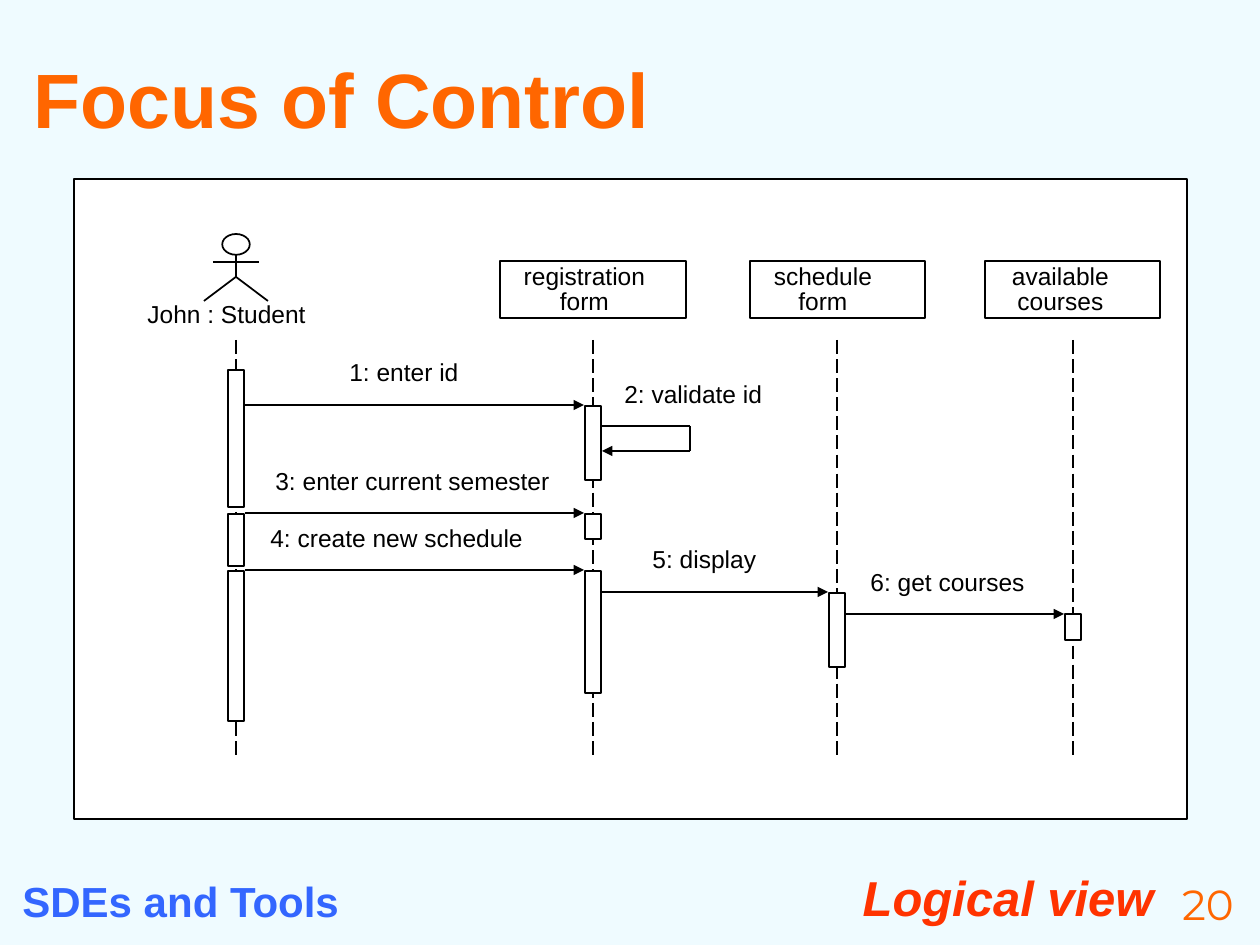
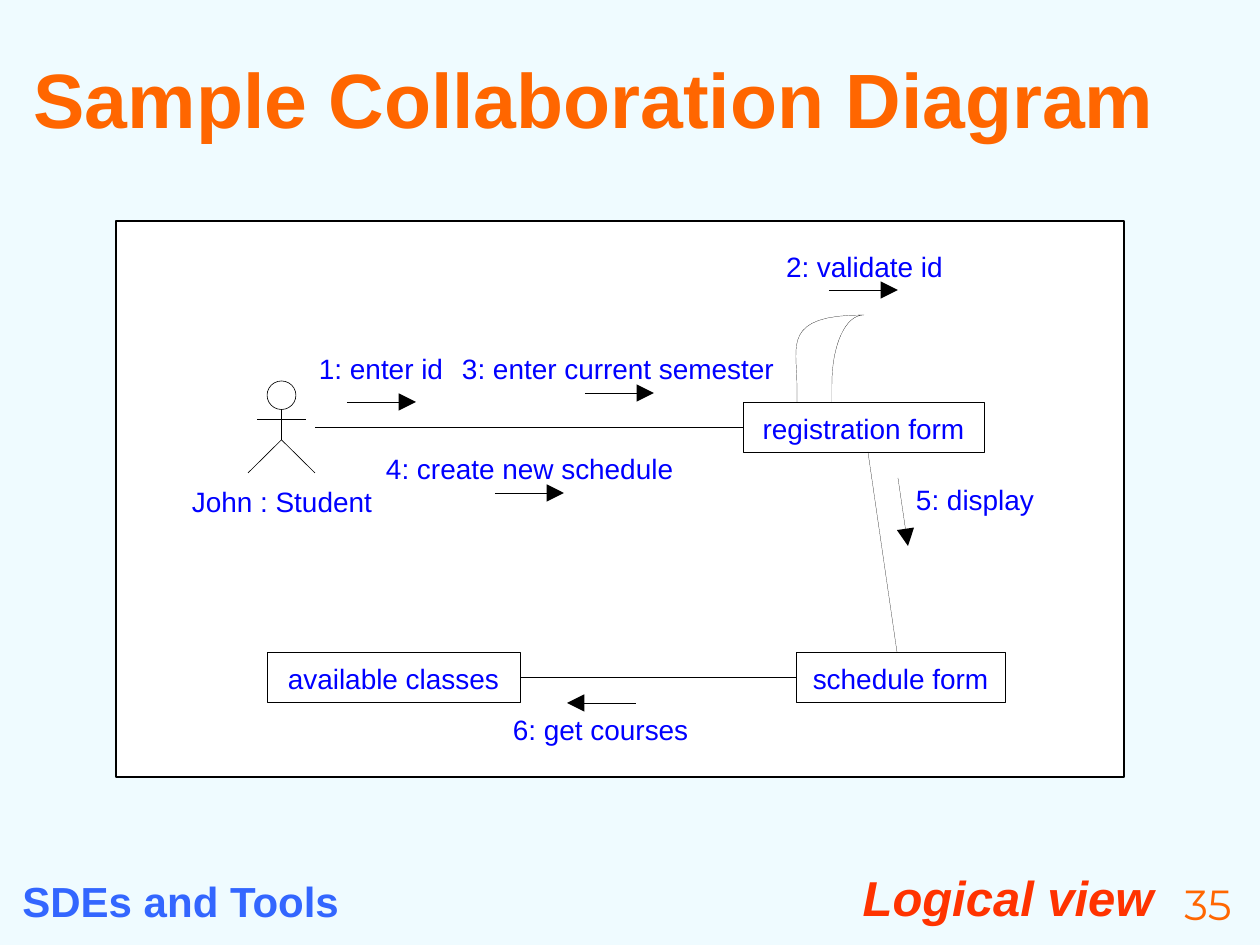
"""Builds two slides on a course registration: a sequence and a collaboration diagram."""
from lxml.etree import SubElement
from pptx import Presentation
from pptx.dml.color import RGBColor
from pptx.enum.dml import MSO_LINE
from pptx.enum.shapes import MSO_CONNECTOR, MSO_SHAPE
from pptx.enum.text import MSO_ANCHOR, MSO_AUTO_SIZE, PP_ALIGN
from pptx.oxml.ns import qn
from pptx.util import Emu, Pt

COLORS = {
    "background": "EFFBFF",
    "panel": "FFFFFF",
    "ink": "000000",
    "title": "FF6600",
    "course": "3366FF",
    "topic": "FF3300",
    "label": "0000FF",
}
PX = 914400 / 126
SEQUENCE_TEXT = {"size": 14, "color": "ink"}
COLLABORATION_TEXT = {"size": 16, "color": "label"}
TITLE_ONLY = 5
HAIRLINE = 0.1
BAR_WIDTH = 16
LIFELINE_TOP, LIFELINE_BOTTOM = 340, 757


def px(length):
    return Emu(round(length * PX))


def rgb(name):
    return RGBColor.from_string(COLORS[name])


def format_text(para, size, color, font="Arial", bold=False, italic=False, align=PP_ALIGN.LEFT):
    para.alignment = align
    para.font.name = font
    para.font.size = Pt(size)
    para.font.bold = bold
    para.font.italic = italic
    para.font.color.rgb = rgb(color)


def set_insets(frame, left=0, top=0, right=0, bottom=0):
    frame.margin_left, frame.margin_top = px(left), px(top)
    frame.margin_right, frame.margin_bottom = px(right), px(bottom)


def add_text(page, text, left, top, width, height, **style):
    box = page.shapes.add_textbox(px(left), px(top), px(width), px(height))
    box.text_frame.word_wrap = True
    para = box.text_frame.paragraphs[0]
    para.text = text
    format_text(para, **style)
    return box


def add_label(page, text, left, top, width, style, inset=True):
    height = 42 if inset else 34
    slack = 2 if inset else 12
    frame = add_text(page, text, left, top, width + slack, height, **style).text_frame
    frame.word_wrap = False
    frame.auto_size = MSO_AUTO_SIZE.SHAPE_TO_FIT_TEXT
    if not inset:
        set_insets(frame)


def style_outline(shape, weight, fill=None):
    shape.shadow.inherit = False
    if fill:
        shape.fill.solid()
        shape.fill.fore_color.rgb = rgb(fill)
    else:
        shape.fill.background()
    shape.line.color.rgb = rgb("ink")
    shape.line.width = Pt(weight)


def add_outline(page, left, top, width, height, weight, fill=None, kind=MSO_SHAPE.RECTANGLE):
    shape = page.shapes.add_shape(kind, px(left), px(top), px(width), px(height))
    style_outline(shape, weight, fill)
    return shape


def add_named_box(page, lines, left, top, width, height, weight, style, right_inset=0, spacing=None):
    box = add_outline(page, left, top, width, height, weight)
    frame = box.text_frame
    frame.word_wrap = True
    frame.vertical_anchor = MSO_ANCHOR.MIDDLE
    set_insets(frame, top=2, right=right_inset)
    for index, line in enumerate(lines):
        para = frame.add_paragraph() if index else frame.paragraphs[0]
        para.text = line
        format_text(para, align=PP_ALIGN.CENTER, **style)
        if spacing:
            para.line_spacing = Pt(spacing)
    return box


def add_line(page, start, end, weight, arrow=None, dash=None):
    line = page.shapes.add_connector(
        MSO_CONNECTOR.STRAIGHT, px(start[0]), px(start[1]), px(end[0]), px(end[1]))
    line.line.color.rgb = rgb("ink")
    line.line.width = Pt(weight)
    if dash:
        line.line.dash_style = dash
    if arrow:
        outline = line._element.spPr.find(qn("a:ln"))
        SubElement(outline, qn("a:tailEnd"), type="triangle", w=arrow, len=arrow)
    SubElement(line._element.spPr, qn("a:effectLst"))
    return line


def add_polyline(page, points, weight):
    corners = [(px(x), px(y)) for x, y in points]
    builder = page.shapes.build_freeform(*corners[0])
    builder.add_line_segments(corners[1:], close=False)
    style_outline(builder.convert_to_shape(), weight)


def bezier(start, pull_out, pull_in, end, steps=16):
    points = []
    for step in range(steps + 1):
        t = step / steps
        weights = ((1 - t) ** 3, 3 * t * (1 - t) ** 2, 3 * t ** 2 * (1 - t), t ** 3)
        corners = (start, pull_out, pull_in, end)
        points.append(tuple(sum(w * c[axis] for w, c in zip(weights, corners)) for axis in (0, 1)))
    return points


def add_actor(page, left, top, width, height, weight):
    center = left + width / 2
    head_width, head_height = 0.43 * width, 0.31 * height
    arms, hip = top + 0.42 * height, top + 0.64 * height
    arm_reach = 0.36 * width
    add_outline(page, center - head_width / 2, top, head_width, head_height, weight,
                kind=MSO_SHAPE.OVAL)
    add_line(page, (center, top + head_height), (center, hip), weight)
    add_line(page, (center - arm_reach, arms), (center + arm_reach, arms), weight)
    foot = top + height
    add_polyline(page, [(left, foot), (center, hip), (left + width, foot)], weight)


def add_page(deck, title, number):
    page = deck.slides.add_slide(deck.slide_layouts[TITLE_ONLY])
    heading = page.shapes.title
    heading.left, heading.top, heading.width, heading.height = px(21), px(38), px(1227), px(120)
    heading.text_frame.text = title
    heading.text_frame.vertical_anchor = MSO_ANCHOR.MIDDLE
    format_text(heading.text_frame.paragraphs[0], 44, "title", bold=True)
    add_text(page, "Logical view", 473, 861, 693, 66,
             size=28, color="topic", bold=True, italic=True, align=PP_ALIGN.RIGHT)
    add_text(page, "SDEs and Tools", 10, 869, 599, 55, size=24, color="course", bold=True)
    add_text(page, str(number), 1166, 872, 84, 55,
             size=24, color="title", font="Montserrat", align=PP_ALIGN.CENTER)
    return page


def add_lifeline(page, center, bars):
    add_line(page, (center, LIFELINE_TOP), (center, LIFELINE_BOTTOM), 1, dash=MSO_LINE.LONG_DASH)
    for top, height in bars:
        add_outline(page, center - BAR_WIDTH / 2, top, BAR_WIDTH, height, 1, "panel")


def build_sequence(deck):
    page = add_page(deck, "Focus of Control", 20)
    add_outline(page, 74, 179, 1113, 640, 0.75, "panel")
    add_actor(page, 204, 234, 64, 67, 1)
    add_label(page, "John : Student", 135, 293, 184, SEQUENCE_TEXT)

    participants = [
        (["registration", "form"], 500, 186, 17),
        (["schedule", "form"], 750, 175, 29),
        (["available", "courses"], 985, 175, 24),
    ]
    for lines, left, width, right_inset in participants:
        add_named_box(page, lines, left, 261, width, 57, 1, SEQUENCE_TEXT, right_inset, spacing=14)

    student, registration, schedule, courses = 236, 593, 837, 1073
    add_lifeline(page, student, [(370, 137), (514, 52), (571, 150)])
    add_lifeline(page, registration, [(406, 74), (514, 25), (571, 122)])
    add_lifeline(page, schedule, [(593, 74)])
    add_lifeline(page, courses, [(614, 26)])

    messages = [
        ("1: enter id", 337, 351, 135, student, registration, 405),
        ("3: enter current semester", 263, 460, 300, student, registration, 513),
        ("4: create new schedule", 258, 517, 278, student, registration, 570),
        ("5: display", 640, 538, 130, registration, schedule, 592),
        ("6: get courses", 858, 561, 180, schedule, courses, 614),
    ]
    gap = BAR_WIDTH / 2 + 1
    for text, left, top, width, sender, receiver, level in messages:
        add_label(page, text, left, top, width, SEQUENCE_TEXT)
        add_line(page, (sender + gap, level), (receiver - gap, level), 1, arrow="med")

    add_label(page, "2: validate id", 612, 373, 164, SEQUENCE_TEXT)
    near, far, leave, enter = registration + gap, 690, 426, 451
    add_line(page, (near, leave), (far, leave), 1)
    add_line(page, (far, leave), (far, enter), 1)
    add_line(page, (far, enter), (near, enter), 1, arrow="med")


def build_collaboration(deck):
    page = add_page(deck, "Sample Collaboration Diagram", 35)
    add_outline(page, 116, 221, 1008, 556, 0.75, "panel")
    add_actor(page, 248, 381, 67, 92, 0.37)
    add_label(page, "John : Student", 192, 485, 180, COLLABORATION_TEXT, inset=False)

    objects = [
        ("registration form", 743, 402, 241),
        ("schedule form", 796, 652, 209),
        ("available classes", 267, 652, 253),
    ]
    registration, schedule, classes = [
        add_named_box(page, [name], left, top, width, 50, HAIRLINE, COLLABORATION_TEXT)
        for name, left, top, width in objects]

    add_line(page, (315, 427), (743, 427), HAIRLINE).end_connect(registration, 1)
    add_line(page, (868, 452), (897, 652), HAIRLINE)
    request = add_line(page, (796, 677), (520, 677), HAIRLINE)
    request.begin_connect(schedule, 1)
    request.end_connect(classes, 3)

    tip = (864, 315)
    inner = bezier((832, 384), (832, 346), (845, 315), tip)
    outer = bezier(tip, (782, 315), (797, 346), (797, 384))
    add_polyline(page, [(832, 402), *inner, *outer[1:], (797, 402)], HAIRLINE)

    messages = [
        ("1: enter id", 319, 352, 125, (347, 402), (416, 402)),
        ("2: validate id", 786, 249, 157, (829, 290), (898, 290)),
        ("3: enter current semester", 462, 352, 312, (585, 393), (654, 393)),
        ("4: create new schedule", 386, 452, 287, (495, 493), (564, 493)),
        ("5: display", 916, 482, 118, (898, 478), (908, 546)),
        ("6: get courses", 513, 713, 175, (636, 703), (567, 703)),
    ]
    for text, left, top, width, start, end in messages:
        add_line(page, start, end, HAIRLINE, arrow="lg")
        add_label(page, text, left, top, width, COLLABORATION_TEXT, inset=False)


def main():
    deck = Presentation()
    deck.slide_width, deck.slide_height = px(1260), px(945)
    fill = deck.slide_master.background.fill
    fill.solid()
    fill.fore_color.rgb = rgb("background")
    build_sequence(deck)
    build_collaboration(deck)
    deck.save("out.pptx")


if __name__ == "__main__":
    main()
